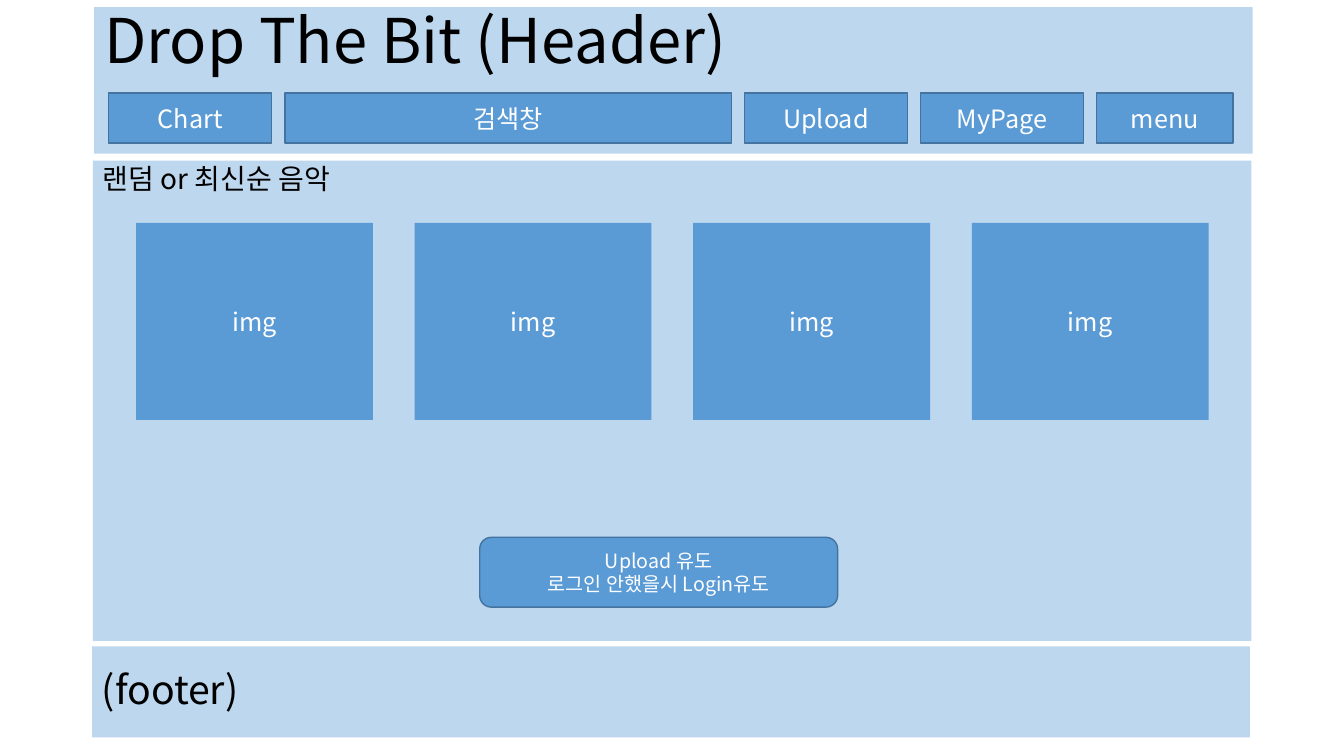
"""Build the wireframe slide of a music site's main page."""
from lxml import etree
from pptx import Presentation
from pptx.dml.color import RGBColor
from pptx.enum.shapes import MSO_SHAPE
from pptx.enum.text import MSO_ANCHOR, MSO_AUTO_SIZE, PP_ALIGN
from pptx.oxml.ns import qn
from pptx.util import Cm, Pt

FONT = "Noto Sans CJK KR"
PALE, BLUE, EDGE = "BDD7EE", "5B9BD5", "43739E"


def rgb(value):
    return RGBColor.from_string(value)


def write(sp, text, size=18, color="FFFFFF", align=PP_ALIGN.CENTER,
          anchor=MSO_ANCHOR.MIDDLE, spacing=1.0, fill=BLUE, line=None):
    sp.fill.solid()
    sp.fill.fore_color.rgb = rgb(fill)
    if line:
        sp.line.color.rgb = rgb(line)
        sp.line.width = Pt(1)
    else:
        sp.line.fill.background()
    tf = sp.text_frame
    tf.text = text
    tf.word_wrap = True
    tf.auto_size = MSO_AUTO_SIZE.NONE
    tf.vertical_anchor = anchor
    for p in tf.paragraphs:
        p.alignment = align
        p.line_spacing = spacing
        for r in p.runs:
            r.font.size = Pt(size)
            r.font.name = FONT
            r.font.color.rgb = rgb(color)
            etree.SubElement(r.font._element, qn("a:ea"), typeface=FONT)


prs = Presentation()
prs.slide_width, prs.slide_height = Cm(33.87), Cm(19.05)
s = prs.slides.add_slide(prs.slide_layouts[5])
panel = dict(color="000000", align=PP_ALIGN.LEFT, spacing=0.9, fill=PALE)

title = s.shapes.title
title.left, title.top, title.width, title.height = Cm(2.37), Cm(0.18), Cm(29.2), Cm(3.69)
write(title, "Drop The Bit (Header)\v", size=44, **panel)

content = s.shapes.add_shape(MSO_SHAPE.RECTANGLE, Cm(2.34), Cm(4.05), Cm(29.2), Cm(12.1))
content.shadow.inherit = False
write(content, "랜덤 or 최신순 음악", size=20, anchor=MSO_ANCHOR.TOP, **panel)

left = 2.74
for label, width in [("Chart", 4.11), ("검색창", 11.25), ("Upload", 4.11),
                     ("MyPage", 4.11), ("menu", 3.43)]:
    sp = s.shapes.add_shape(MSO_SHAPE.RECTANGLE, Cm(left), Cm(2.34), Cm(width), Cm(1.27))
    sp.shadow.inherit = False
    write(sp, label, line=EDGE)
    left += width + 0.33

for i in range(4):
    sp = s.shapes.add_shape(MSO_SHAPE.RECTANGLE, Cm(3.43 + 7.02 * i), Cm(5.62), Cm(5.97), Cm(4.96))
    sp.shadow.inherit = False
    write(sp, "img")

prompt = s.shapes.add_shape(MSO_SHAPE.ROUNDED_RECTANGLE, Cm(12.09), Cm(13.54), Cm(9.02), Cm(1.76))
prompt.shadow.inherit = False
write(prompt, "Upload 유도\n로그인 안했을시 Login유도", size=14, line=EDGE)

footer = s.shapes.add_shape(MSO_SHAPE.RECTANGLE, Cm(2.32), Cm(16.29), Cm(29.18), Cm(2.29))
footer.shadow.inherit = False
write(footer, "(footer)", size=28, **panel)

prs.save("out.pptx")
